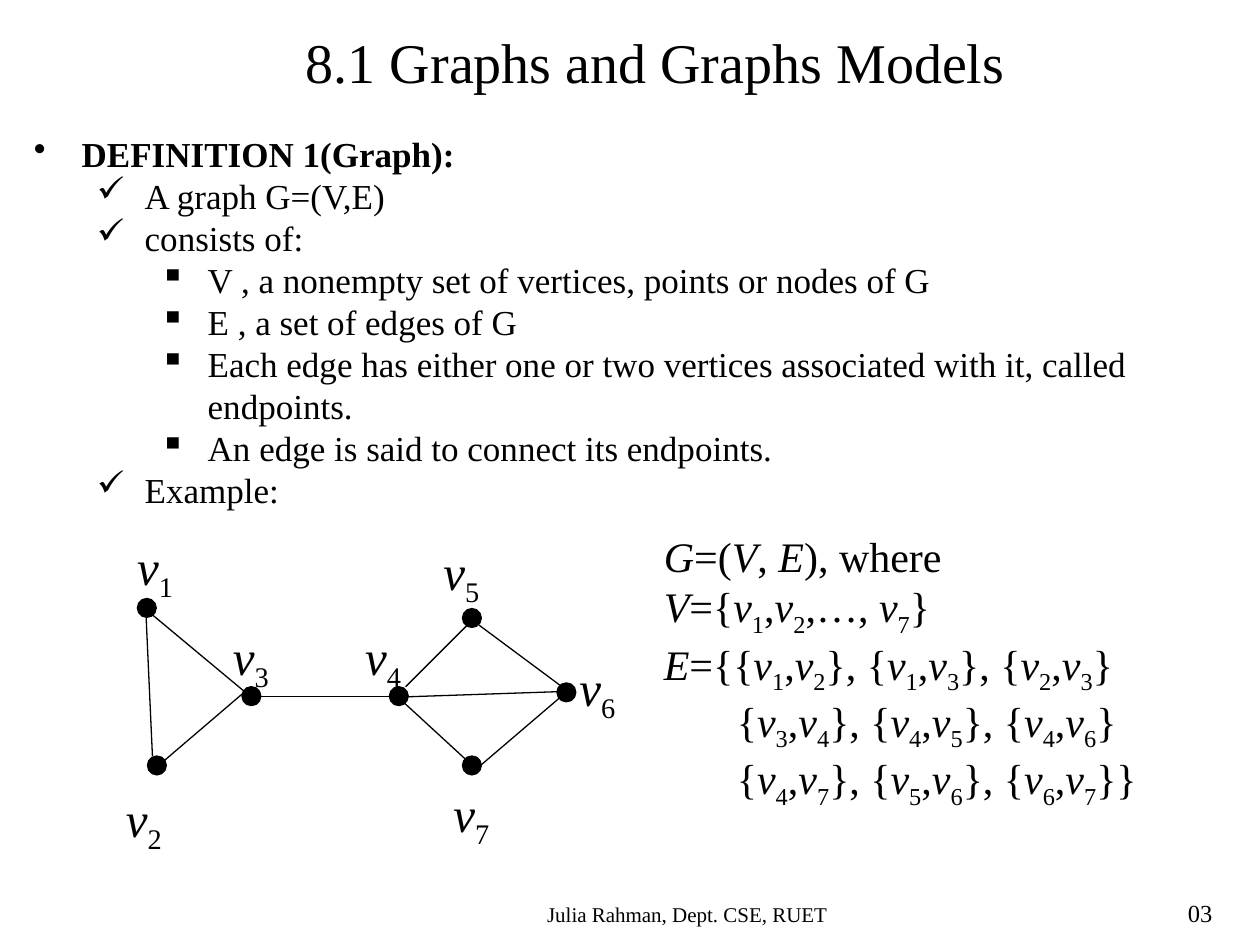
from itertools import groupby

from lxml.etree import SubElement
from pptx import Presentation
from pptx.dml.color import RGBColor
from pptx.enum.shapes import MSO_CONNECTOR, MSO_SHAPE
from pptx.enum.text import PP_ALIGN
from pptx.oxml.ns import qn
from pptx.util import Inches, Pt

BLACK = RGBColor(0, 0, 0)
FONT = "Times New Roman"

presentation = Presentation()
presentation.slide_width, presentation.slide_height = Inches(10), Inches(7.5)
slide = presentation.slides.add_slide(presentation.slide_layouts[6])

# Every place is given in columns and rows of a 100 by 75 grid.
COLUMN = presentation.slide_width // 100
ROW = presentation.slide_height // 75


def add_run(paragraph, text, **formats):
    run = paragraph.add_run()
    run.text = text
    run.font.color.rgb = BLACK
    for name, value in {"name": FONT, **formats}.items():
        setattr(run.font, name, value)
    return run


def add_math(paragraph, text, size):
    """Set the letters G, V, E and v in italics and digits as subscripts."""
    def kind_of(character):
        if character.isdigit():
            return "subscript"
        return "variable" if character in "GVEv" else "plain"

    for kind, characters in groupby(text, kind_of):
        run = add_run(paragraph, "".join(characters),
                      size=Pt(size), italic=kind == "variable")
        if kind == "subscript":
            run.font._element.set("baseline", "-25000")


# Title, footer and page number
for text, size, left, top, width, height, alignment, wrap in [
    ("8.1 Graphs and Graphs Models", 32, 23.3, 1.7, 58, 6.4, PP_ALIGN.LEFT, False),
    ("Julia Rahman, Dept. CSE, RUET", 12, 25.8, 71.1, 57.5, 3, PP_ALIGN.CENTER, True),
    ("03", 14, 93.3, 70.8, 6.7, 3.3, PP_ALIGN.LEFT, True),
]:
    box = slide.shapes.add_textbox(
        int(left * COLUMN), int(top * ROW), int(width * COLUMN), int(height * ROW))
    box.text_frame.word_wrap = wrap
    paragraph = box.text_frame.paragraphs[0]
    paragraph.alignment = alignment
    add_run(paragraph, text, size=Pt(size))

# Definition
BULLETS = ["•", "✓", "▪"]
definition = [
    (0, "DEFINITION 1(Graph):"),
    (1, "A graph G=(V,E)"),
    (1, "consists of:"),
    (2, "V , a nonempty set of vertices, points or nodes of G"),
    (2, "E , a set of edges of G"),
    (2, "Each edge has either one or two vertices associated with it, called endpoints."),
    (2, "An edge is said to connect its endpoints."),
    (1, "Example:"),
]
box = slide.shapes.add_textbox(
    int(1.7 * COLUMN), 10 * ROW, int(97.5 * COLUMN), int(56.7 * ROW))
frame = box.text_frame
frame.word_wrap = True
for index, (level, text) in enumerate(definition):
    paragraph = frame.add_paragraph() if index else frame.paragraphs[0]
    paragraph.level = level
    paragraph.line_spacing = Pt(24)
    properties = paragraph._p.get_or_add_pPr()
    properties.set("marL", str(int((3.8 + 5 * level) * COLUMN)))
    properties.set("indent", str(int(-3.8 * COLUMN)))
    SubElement(properties, qn("a:buChar")).set("char", BULLETS[level])
    add_run(paragraph, text, size=Pt(20), bold=level == 0)

# Edges of the example graph: start column, start row, end column, end row
edges = [
    (12.1, 48.8, 20.5, 55.8),
    (19.9, 54.5, 13, 60.4),
    (11.6, 49, 12.1, 60),
    (20.7, 55.3, 32.4, 55.3),
    (32.2, 54.5, 37.1, 49.6),
    (38, 49.6, 44.6, 54.5),
    (44.4, 55.4, 38.2, 60.7),
    (32.1, 55.8, 37.1, 60.4),
    (32.4, 55.3, 44.2, 54.9),
]
for start_column, start_row, end_column, end_row in edges:
    edge = slide.shapes.add_connector(
        MSO_CONNECTOR.STRAIGHT,
        int(start_column * COLUMN), int(start_row * ROW),
        int(end_column * COLUMN), int(end_row * ROW))
    edge.line.color.rgb = BLACK
    edge.line.width = Pt(0.75)
    SubElement(edge._element.spPr, qn("a:effectLst"))

# Vertices: dot column and row, label column and row
vertices = {
    "v1": (10.9, 47.5, 9.9, 42.1),
    "v2": (11.7, 60, 9, 62.1),
    "v3": (19.2, 54.5, 17.5, 49.2),
    "v4": (30.9, 54.5, 28, 49.2),
    "v5": (36.7, 48.3, 34.2, 42.5),
    "v6": (44.2, 54.2, 45, 51.7),
    "v7": (36.7, 60, 35, 61.7),
}
for name, (dot_column, dot_row, label_column, label_row) in vertices.items():
    dot = slide.shapes.add_shape(
        MSO_SHAPE.OVAL, int(dot_column * COLUMN), int(dot_row * ROW),
        int(1.5 * COLUMN), int(1.5 * ROW))
    dot.shadow.inherit = False
    dot.fill.solid()
    dot.fill.fore_color.rgb = BLACK
    dot.line.color.rgb = BLACK
    dot.line.width = Pt(0.75)
    label = slide.shapes.add_textbox(
        int(label_column * COLUMN), int(label_row * ROW),
        int(5.1 * COLUMN), int(5.7 * ROW))
    label.text_frame.word_wrap = False
    add_math(label.text_frame.paragraphs[0], name, 28)

# The same graph written as sets, with the edge list indented after its first line
set_lines = [
    (0, "G=(V, E), where"),
    (0, "V={v1,v2,…, v7}"),
    (0, "E={{v1,v2}, {v1,v3}, {v2,v3}"),
    (5.8, "{v3,v4}, {v4,v5}, {v4,v6}"),
    (5.8, "{v4,v7}, {v5,v6}, {v6,v7}}"),
]
box = slide.shapes.add_textbox(
    int(51.7 * COLUMN), int(41.6 * ROW), int(40.8 * COLUMN), int(21.2 * ROW))
frame = box.text_frame
frame.word_wrap = True
for index, (indent, text) in enumerate(set_lines):
    paragraph = frame.add_paragraph() if index else frame.paragraphs[0]
    paragraph._p.get_or_add_pPr().set("marL", str(int(indent * COLUMN)))
    add_math(paragraph, text, 24)

presentation.save("out.pptx")
